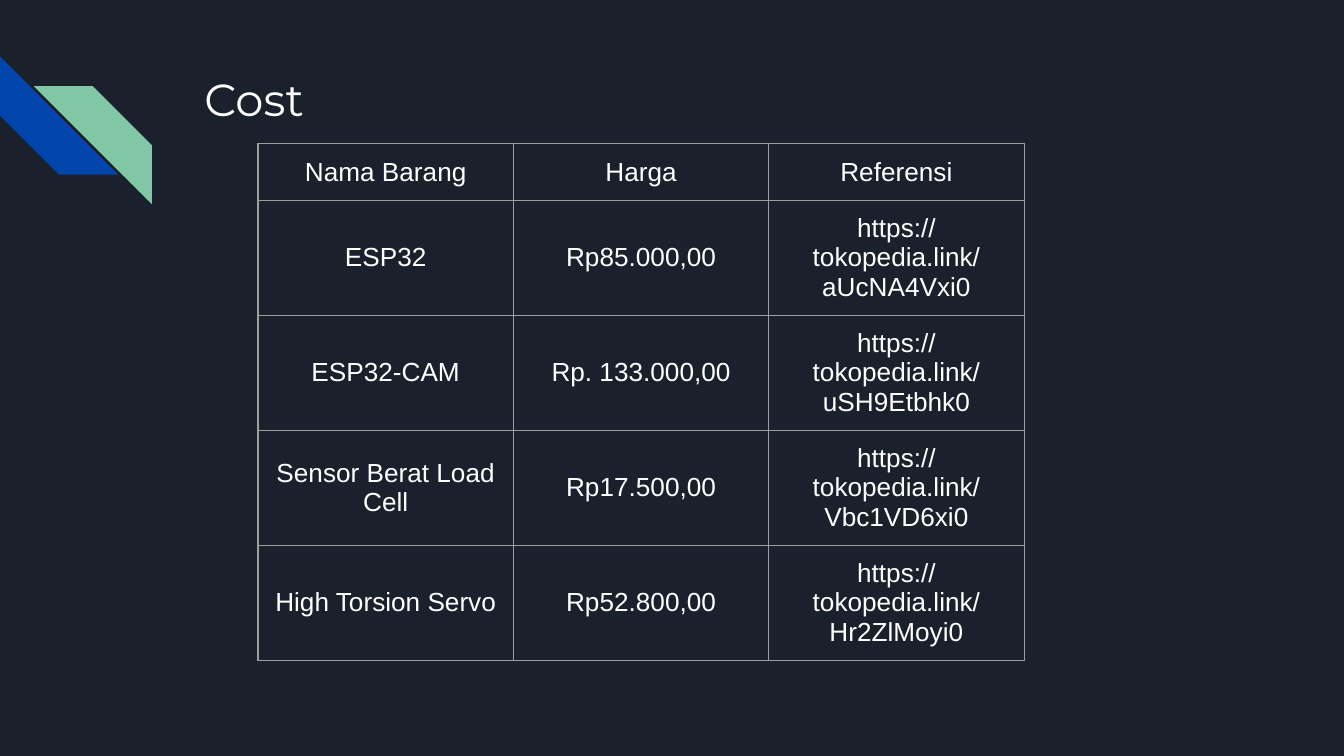
from typing import NamedTuple

from lxml.etree import SubElement
from pptx import Presentation
from pptx.dml.color import RGBColor
from pptx.enum.shapes import MSO_SHAPE
from pptx.enum.text import MSO_ANCHOR, MSO_AUTO_SIZE, PP_ALIGN
from pptx.oxml.ns import qn
from pptx.util import Inches, Pt

NAVY = RGBColor(0x1B, 0x21, 0x2C)
BLUE = RGBColor(0x01, 0x45, 0xAC)
GREEN = RGBColor(0x82, 0xC7, 0xA5)
GREY = RGBColor(0x9E, 0x9E, 0x9E)
WHITE = RGBColor(0xFF, 0xFF, 0xFF)

SLIDE_WIDTH = Inches(10)
SLIDE_HEIGHT = SLIDE_WIDTH * 9 // 16
INSET = Inches(0.1)
STRIPE_SIZE = Inches(0.88)
COL_WIDTH = Inches(1.9)
HEADER_HEIGHT, ROW_HEIGHT = Inches(0.42), Inches(0.64)


class Stripe(NamedTuple):
    left: float
    top: float
    rotation: int
    color: RGBColor


class Item(NamedTuple):
    name: str
    price: str
    reference: str


STRIPES = [Stripe(0, 0.42, 270, BLUE), Stripe(0.25, 0.64, 90, GREEN)]
HEADER = Item("Nama Barang", "Harga", "Referensi")
ITEMS = [
    Item("ESP32", "Rp85.000,00", "https://tokopedia.link/aUcNA4Vxi0"),
    Item("ESP32-CAM", "Rp. 133.000,00", "https://tokopedia.link/uSH9Etbhk0"),
    Item("Sensor Berat Load Cell", "Rp17.500,00", "https://tokopedia.link/Vbc1VD6xi0"),
    Item("High Torsion Servo", "Rp52.800,00", "https://tokopedia.link/Hr2ZlMoyi0"),
]


def write(tf, text: str, *, size: float, font: str, align=PP_ALIGN.LEFT) -> None:
    p = tf.paragraphs[0]
    p.alignment = align
    r = p.add_run()
    r.text = text
    r.font.size, r.font.name = Pt(size), font
    r.font.color.rgb = WHITE


def add_stripe(s, stripe: Stripe) -> None:
    sp = s.shapes.add_shape(MSO_SHAPE.DIAGONAL_STRIPE, Inches(stripe.left),
                            Inches(stripe.top), STRIPE_SIZE, STRIPE_SIZE)
    sp.adjustments[0] = 0.5
    sp.rotation = stripe.rotation
    sp.shadow.inherit = False
    sp.fill.solid()
    sp.fill.fore_color.rgb = stripe.color
    sp.line.fill.background()


def set_borders(cell, color: RGBColor, width: float) -> None:
    tc_pr = cell._tc.get_or_add_tcPr()
    for side in ("lnL", "lnR", "lnT", "lnB"):
        ln = SubElement(tc_pr, qn(f"a:{side}"), w=str(Pt(width)))
        fill = SubElement(ln, qn("a:solidFill"))
        SubElement(fill, qn("a:srgbClr"), val=str(color))


def add_cost_table(s, rows: list[Item]) -> None:
    cols = len(HEADER)
    height = HEADER_HEIGHT + ROW_HEIGHT * (len(rows) - 1)
    table = s.shapes.add_table(len(rows), cols, Inches(1.92), Inches(1.07),
                               COL_WIDTH * cols, height).table
    table.first_row = table.horz_banding = False
    for col in table.columns:
        col.width = COL_WIDTH
    for i, item in enumerate(rows):
        table.rows[i].height = ROW_HEIGHT if i else HEADER_HEIGHT
        for j, text in enumerate(item):
            cell = table.cell(i, j)
            set_borders(cell, GREY, 0.75)
            cell.fill.background()
            cell.vertical_anchor = MSO_ANCHOR.MIDDLE
            cell.margin_left = cell.margin_right = INSET
            cell.margin_top = cell.margin_bottom = INSET
            write(cell.text_frame, text, size=14, font="Arial", align=PP_ALIGN.CENTER)


def main() -> None:
    prs = Presentation()
    prs.slide_width, prs.slide_height = SLIDE_WIDTH, SLIDE_HEIGHT
    s = prs.slides.add_slide(prs.slide_layouts[5])
    s.background.fill.solid()
    s.background.fill.fore_color.rgb = NAVY

    # Corner decoration
    for stripe in STRIPES:
        add_stripe(s, stripe)

    # Title
    title = s.shapes.title
    title.left, title.top = Inches(1.42), Inches(0.43)
    title.width, title.height = Inches(7.7), Inches(1)
    tf = title.text_frame
    tf.auto_size = MSO_AUTO_SIZE.NONE
    tf.vertical_anchor = MSO_ANCHOR.TOP
    tf.margin_left = tf.margin_right = tf.margin_top = tf.margin_bottom = INSET
    write(tf, "Cost", size=24, font="Montserrat")

    # Cost table
    add_cost_table(s, [HEADER, *ITEMS])

    prs.save("out.pptx")


if __name__ == "__main__":
    main()
